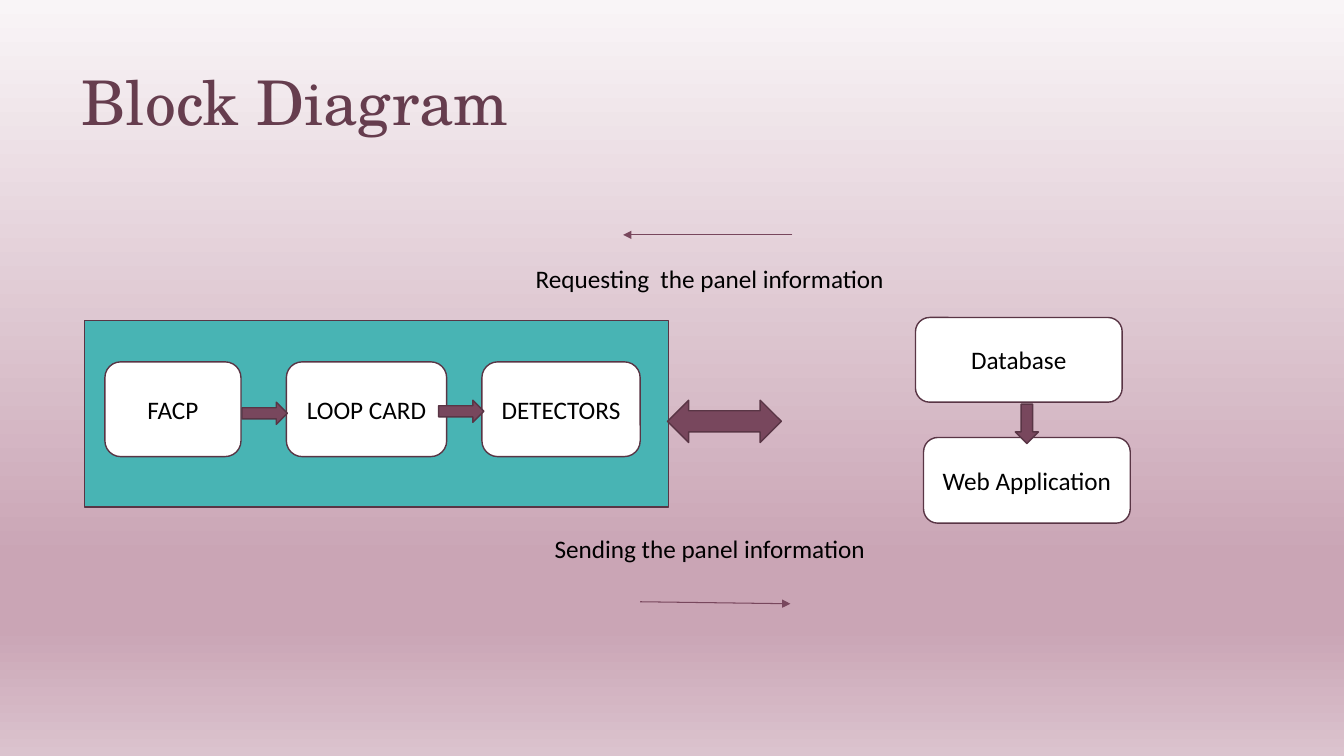
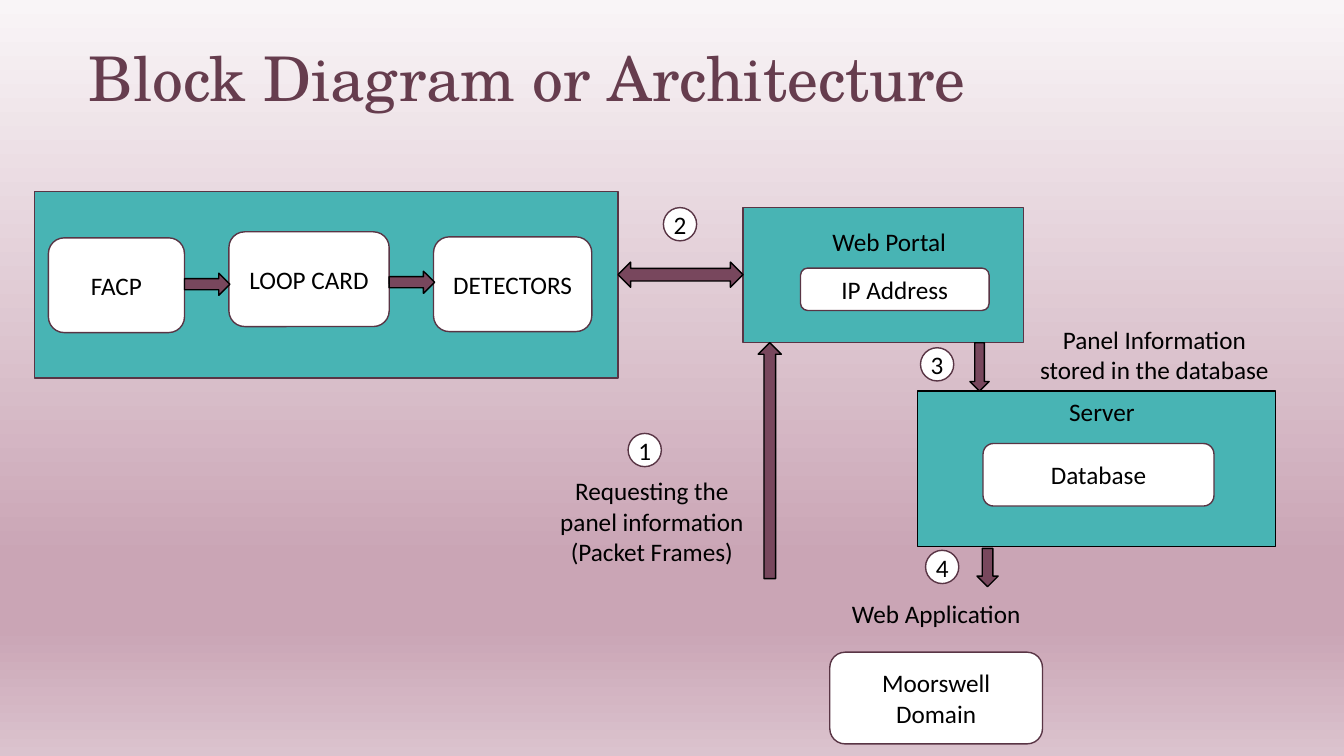
from lxml import etree
from pptx import Presentation
from pptx.dml.color import RGBColor
from pptx.enum.shapes import MSO_CONNECTOR, MSO_SHAPE
from pptx.enum.text import MSO_ANCHOR, PP_ALIGN
from pptx.oxml.ns import qn
from pptx.util import Inches, Pt

ROUND = MSO_SHAPE.ROUNDED_RECTANGLE
RECT = MSO_SHAPE.RECTANGLE
PROC = MSO_SHAPE.FLOWCHART_PROCESS
OVAL = MSO_SHAPE.OVAL
UP = MSO_SHAPE.UP_ARROW
DOWN = MSO_SHAPE.DOWN_ARROW
RIGHT = MSO_SHAPE.RIGHT_ARROW
BOTH = MSO_SHAPE.LEFT_RIGHT_ARROW
STRAIGHT = MSO_CONNECTOR.STRAIGHT
MIDDLE = MSO_ANCHOR.MIDDLE
LEFT = PP_ALIGN.LEFT
CENTER = PP_ALIGN.CENTER

TEAL = "48B4B4"
PLUM = "78475D"
EDGE = "593545"
INK = "663D4E"
WHITE = "FFFFFF"
BLACK = "000000"
STOPS = ((0, "F9F5F7"), (74, "CAA5B5"), (83, "CAA5B5"), (100, "DBC3CE"))
HEAD = "TeX Gyre Schola"
BODY = "Calibri"
PARTS = (("FACP", 1.35), ("LOOP CARD", 1.59), ("DETECTORS", 1.57))


def paint(target, code):
    target.rgb = RGBColor.from_string(code)


def backdrop(master):
    fill = master.background.fill
    fill.gradient()
    fill.gradient_angle = 270
    stops = master.element.find(".//" + qn("a:gsLst"))
    for old in list(stops):
        stops.remove(old)
    for spot, code in STOPS:
        stop = etree.SubElement(stops, qn("a:gs"), pos=str(spot * 1000))
        etree.SubElement(stop, qn("a:srgbClr"), val=code)


def write(frame, text, align=CENTER, size=18, font=BODY, color=BLACK):
    frame.text = text
    for para in frame.paragraphs:
        para.alignment = align
        for run in para.runs:
            run.font.size = Pt(size)
            run.font.name = font
            paint(run.font.color, color)


def label(slide, box, text, wrap=False):
    frame = slide.shapes.add_textbox(*map(Inches, box)).text_frame
    frame.word_wrap = wrap
    write(frame, text)
    return frame


def title(slide, left, top, text):
    frame = label(slide, (left, top, 12, 1.7), text, True)
    write(frame, text, LEFT, 44, HEAD, INK)
    frame.paragraphs[0].line_spacing = 0.99


def block(slide, kind, box, fill, edge=EDGE):
    shape = slide.shapes.add_shape(kind, *map(Inches, box))
    shape.shadow.inherit = False
    shape.fill.solid()
    paint(shape.fill.fore_color, fill)
    paint(shape.line.color, edge)
    shape.line.width = Pt(1)
    return shape


def card(slide, box, text):
    frame = block(slide, ROUND, box, WHITE).text_frame
    frame.vertical_anchor = MIDDLE
    frame.word_wrap = True
    write(frame, text)


def badge(slide, left, top, text):
    frame = block(slide, OVAL, (left, top, 0.33, 0.33), WHITE).text_frame
    frame.margin_left = frame.margin_right = 0
    frame.margin_top = frame.margin_bottom = 0
    frame.vertical_anchor = MIDDLE
    frame.word_wrap = False
    write(frame, text)


def panel(slide, left, top, cards, arrows, edge):
    block(slide, PROC, (left, top, 5.79, 1.85), TEAL)
    for (text, width), (x, y) in zip(PARTS, cards):
        card(slide, (left + x, top + y, width, 0.94), text)
    for x, y in arrows:
        block(slide, RIGHT, (left + x, top + y, 0.45, 0.22), PLUM, edge)


def line(slide, *ends):
    wire = slide.shapes.add_connector(STRAIGHT, *map(Inches, ends))
    paint(wire.line.color, PLUM)
    wire.line.width = Pt(0.75)
    props = wire.element.spPr
    etree.SubElement(props.find(qn("a:ln")), qn("a:tailEnd"), type="triangle")
    etree.SubElement(props, qn("a:effectLst"))


def diagram(slide):
    title(slide, 0.71, 0.62, "Block Diagram")
    panel(slide, 0.84, 3.18, ((0.2, 0.41), (2, 0.41), (3.94, 0.41)),
          ((1.56, 0.81), (3.51, 0.79)), EDGE)
    card(slide, (9.16, 4.34, 2.05, 0.85), "Web Application")
    card(slide, (9.08, 3.15, 2.05, 0.84), "Database")
    block(slide, DOWN, (10.07, 4.01, 0.23, 0.39), PLUM)
    block(slide, BOTH, (6.62, 3.97, 1.13, 0.42), PLUM)
    label(slide, (5.38, 5.24, 3.32, 0.4), "Sending the panel information")
    label(slide, (5.19, 2.56, 3.7, 0.4), "Requesting  the panel information")
    line(slide, 7.86, 2.33, 6.18, 2.33)
    line(slide, 6.35, 5.97, 7.84, 5.99)


def layers(slide):
    title(slide, 0.78, 0.38, "Block Diagram or Architecture")
    panel(slide, 0.34, 1.9, ((0.14, 0.46), (1.93, 0.4), (3.96, 0.45)),
          ((1.49, 0.81), (3.52, 0.79)), BLACK)
    block(slide, PROC, (7.37, 2.06, 2.78, 1.34), TEAL)
    block(slide, RECT, (9.1, 3.88, 3.55, 1.54), TEAL, BLACK)
    for box, text in (
        ((7.94, 2.66, 1.87, 0.42), "IP Address"),
        ((9.75, 4.4, 2.29, 0.62), "Database"),
        ((8.23, 6.47, 2.11, 0.91), "Moorswell Domain"),
    ):
        card(slide, box, text)
    for kind, box in (
        (BOTH, (6.13, 2.6, 1.24, 0.25)),
        (UP, (7.52, 3.4, 0.23, 2.34)),
        (DOWN, (9.62, 3.4, 0.19, 0.48)),
        (DOWN, (9.69, 5.44, 0.21, 0.38)),
    ):
        block(slide, kind, box, PLUM, BLACK)
    for box, text, wrap in (
        ((8.15, 2.2, 1.34, 0.4), "Web Portal", False),
        ((8.34, 5.89, 1.89, 0.4), "Web Application", False),
        ((10.5, 3.88, 0.86, 0.4), "Server", False),
        ((5.39, 4.67, 2.15, 1.01),
         "Requesting the panel information\n(Packet Frames)", True),
        ((10.12, 3.17, 2.66, 0.71),
         "Panel Information stored in the database", True),
    ):
        label(slide, box, text, wrap)
    for left, top, text in (
        (6.23, 4.3, "1"), (6.58, 2.06, "2"),
        (9.13, 3.45, "3"), (9.18, 5.46, "4"),
    ):
        badge(slide, left, top, text)


def main():
    deck = Presentation()
    deck.slide_width = Inches(13.33)
    deck.slide_height = Inches(7.5)
    backdrop(deck.slide_master)
    for draw in (diagram, layers):
        draw(deck.slides.add_slide(deck.slide_layouts[6]))
    deck.save("out.pptx")


if __name__ == "__main__":
    main()
